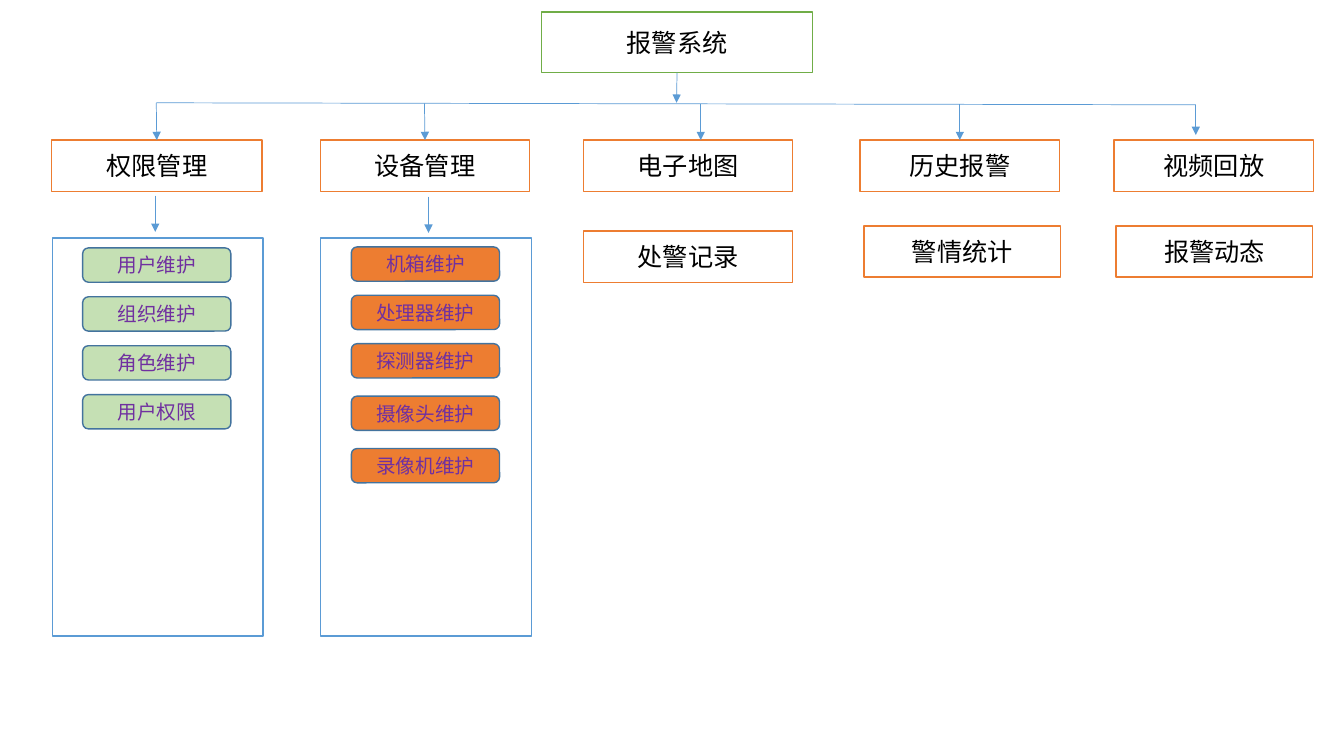
import pptx
import pptx.dml.color
import pptx.enum.shapes
import pptx.enum.text
import pptx.oxml
import pptx.oxml.ns
import pptx.util

SHAPE = pptx.enum.shapes.MSO_SHAPE
TOP, BOTTOM = 0, 2
GREEN, ORANGE, BLUE, NAVY = "70AD47", "ED7D31", "5B9BD5", "43739E"
PALE, PURPLE, WHITE, BLACK = "C5E0B4", "7030A0", "FFFFFF", "000000"


def color(code):
    return pptx.dml.color.RGBColor.from_string(code)


class Board:
    """Draws on a grid of 133.3 columns by 75 rows, each cell 0.1 inch."""

    font = "Calibri"
    cell = pptx.util.Inches(0.1)

    def __init__(self, deck):
        self.slide = deck.slides.add_slide(deck.slide_layouts[6])

    def grid(self, *cells):
        return [round(n * self.cell) for n in cells]

    def block(self, kind, area, fill, line):
        shape = self.slide.shapes.add_shape(kind, *self.grid(*area))
        shape.shadow.inherit = False
        shape.fill.solid()
        shape.fill.fore_color.rgb = color(fill)
        shape.line.color.rgb = color(line)
        shape.line.width = pptx.util.Pt(1)
        return shape

    def label(self, shape, text, size, ink):
        frame = shape.text_frame
        frame.vertical_anchor = pptx.enum.text.MSO_ANCHOR.MIDDLE
        para = frame.paragraphs[0]
        para.text = text
        para.alignment = pptx.enum.text.PP_ALIGN.CENTER
        para.font.name = self.font
        para.font.size = pptx.util.Pt(size)
        para.font.color.rgb = color(ink)

    def box(self, text, area, line=ORANGE):
        shape = self.block(SHAPE.RECTANGLE, area, WHITE, line)
        self.label(shape, text, 18, BLACK)
        return shape

    def panel(self, left):
        self.block(SHAPE.RECTANGLE, (left, 23.6, 20.9, 39.5), WHITE, BLUE)

    def pill(self, text, left, top, fill):
        area = (left, top, 14.7, 3.4)
        shape = self.block(SHAPE.ROUNDED_RECTANGLE, area, fill, NAVY)
        self.label(shape, text, 14, PURPLE)

    def line(self, start, end, arrow=True):
        link = self.slide.shapes.add_connector(
            pptx.enum.shapes.MSO_CONNECTOR.STRAIGHT, *self.grid(*start, *end))
        link.line.color.rgb = color(BLUE)
        link.line.width = pptx.util.Pt(0.5)
        if arrow:
            tail = pptx.oxml.parse_xml(
                '<a:tailEnd %s type="triangle"/>' % pptx.oxml.ns.nsdecls("a"))
            link.line._get_or_add_ln().append(tail)
        link._element.spPr.append(pptx.oxml.parse_xml(
            "<a:effectLst %s/>" % pptx.oxml.ns.nsdecls("a")))
        return link


def main():
    deck = pptx.Presentation()
    deck.slide_width = pptx.util.Inches(13.33)
    deck.slide_height = pptx.util.Inches(7.5)
    board = Board(deck)

    root = board.box("报警系统", (53.7, 1.2, 26.9, 6), GREEN)

    # Text, left, width, arrow column, arrow tip, joined to the box
    heads = [("权限管理", 5.1, 20.9, 15.5, 13.9, True),
             ("设备管理", 31.8, 20.7, 42.1, 13.9, True),
             ("电子地图", 57.9, 20.7, 69.5, 13.9, False),
             ("历史报警", 85.3, 19.8, 95.2, 13.9, True),
             ("视频回放", 110.5, 19.8, 118.6, 13.4, False)]
    first, last = heads[0][3], heads[-1][3]

    def bus(col):
        """Row of the slightly sloping bus at a column."""
        return 10.2 + 0.2 * (col - first) / (last - first)

    board.line((first, bus(first)), (last, bus(last)), arrow=False)
    trunk = board.line((67.1, 7.2), (67.1, 10.2))
    trunk.begin_connect(root, BOTTOM)
    for text, left, width, col, tip, joined in heads:
        head = board.box(text, (left, 13.9, width, 5.1))
        drop = board.line((col, bus(col)), (col, tip))
        if joined:
            drop.end_connect(head, TOP)

    for text, left, top, width in [("处警记录", 57.9, 22.9, 20.7),
                                   ("警情统计", 85.7, 22.4, 19.5),
                                   ("报警动态", 110.7, 22.4, 19.5)]:
        board.box(text, (left, top, width, 5.1))

    for left, col, top in [(5.2, 15.4, 19.4), (31.8, 42.5, 19.5)]:
        board.panel(left)
        board.line((col, top), (col, top + 3.6))

    rights = ["用户维护", "组织维护", "角色维护", "用户权限"]
    for row, text in enumerate(rights):
        board.pill(text, 8.2, 24.6 + 4.85 * row, PALE)

    devices = [("机箱维护", 24.5), ("处理器维护", 29.3), ("探测器维护", 34.1),
               ("摄像头维护", 39.3), ("录像机维护", 44.5)]
    for text, top in devices:
        board.pill(text, 34.85, top, ORANGE)

    deck.save("out.pptx")


if __name__ == "__main__":
    main()
